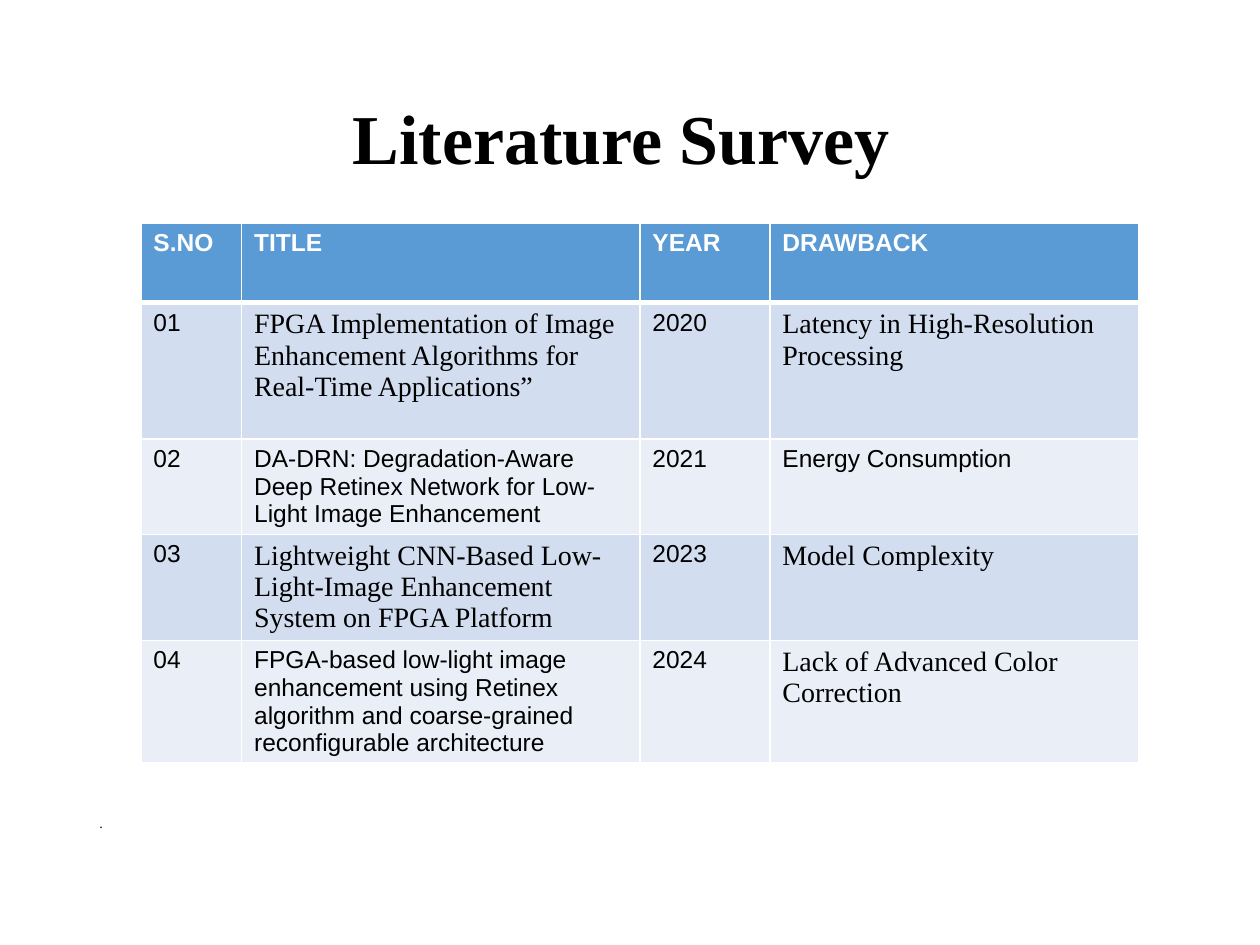
from lxml import etree
from pptx import Presentation
from pptx.dml.color import RGBColor
from pptx.enum.text import MSO_ANCHOR, PP_ALIGN
from pptx.oxml.ns import qn
from pptx.util import Cm, Pt

CENTER, LEFT = PP_ALIGN.CENTER, PP_ALIGN.LEFT
TOP, MIDDLE = MSO_ANCHOR.TOP, MSO_ANCHOR.MIDDLE
SERIF, SANS = "Times New Roman", "Arial"
WHITE, BLACK, BLUE = "FFFFFF", "000000", "5B9BD5"
BANDS = ["D2DEEF", "EAEFF7"]


def color(hex_string):
    return RGBColor.from_string(hex_string)


def add_run(para, text, size, font, hex_string, bold=False):
    span = para.add_run()
    span.text = text
    span.font.size = Pt(size)
    span.font.name = font
    span.font.bold = bold
    span.font.color.rgb = color(hex_string)


deck = Presentation()
deck.slide_width, deck.slide_height = Cm(25.4), Cm(19.05)
page = deck.slides.add_slide(deck.slide_layouts[1])
title, body = page.placeholders

# Title and small body text
for box, bounds, anchor, align, text, size, bold in [
    (title, (1.75, 1.02, 21.9, 3.68), MIDDLE, CENTER, "Literature Survey ", 40, True),
    (body, (1.75, 16.33, 1.78, 0.84), TOP, LEFT, ".", 8, False),
]:
    box.left, box.top, box.width, box.height = map(Cm, bounds)
    box.text_frame.vertical_anchor = anchor
    para = box.text_frame.paragraphs[0]
    para.alignment = align
    para.line_spacing = 0.9
    para.space_before = Pt(0)
    add_run(para, text, size, SERIF, BLACK, bold)

# No bullet in the body
properties = body.text_frame.paragraphs[0]._p.get_or_add_pPr()
properties.set("marL", "0")
properties.set("indent", "0")
etree.SubElement(properties, qn("a:buNone"))

# Survey table: the serif columns of each row are listed after its texts
rows = [
    (["S.NO", "TITLE", "YEAR", "DRAWBACK"], []),
    (["01", "FPGA Implementation of Image Enhancement Algorithms for Real-Time Applications”",
      "2020", "Latency in High-Resolution Processing"], [1, 3]),
    (["02", "DA-DRN: Degradation-Aware Deep Retinex Network for Low-Light Image Enhancement",
      "2021", "Energy Consumption"], []),
    (["03", "Lightweight CNN-Based Low-Light-Image Enhancement System on FPGA Platform",
      "2023", "Model Complexity"], [1, 3]),
    (["04", "FPGA-based low-light image enhancement using Retinex algorithm "
            "and coarse-grained reconfigurable architecture",
      "2024", "Lack of Advanced Color Correction"], [3]),
]
widths = [2.03, 8.03, 2.62, 7.44]
heights = [1.6, 2.75, 1.92, 2.14, 2.46]
table = page.shapes.add_table(
    len(rows), len(widths), Cm(2.84), Cm(4.5), Cm(sum(widths)), Cm(sum(heights))
).table
for column, width in zip(table.columns, widths):
    column.width = Cm(width)
for row, height in zip(table.rows, heights):
    row.height = Cm(height)

for row_index, (texts, serif_columns) in enumerate(rows):
    header = row_index == 0
    for column_index, text in enumerate(texts):
        cell = table.cell(row_index, column_index)

        # White borders, heavier between the header and the first row
        for side in ["L", "R", "T", "B"]:
            heavy = (row_index, side) in [(0, "B"), (1, "T")]
            line = etree.SubElement(cell._tc.get_or_add_tcPr(), qn(f"a:ln{side}"),
                                    w=str(Pt(3 if heavy else 1)))
            line_fill = etree.SubElement(line, qn("a:solidFill"))
            etree.SubElement(line_fill, qn("a:srgbClr"), val=WHITE)

        cell.fill.solid()
        cell.fill.fore_color.rgb = color(BLUE if header else BANDS[(row_index - 1) % 2])
        size, font = (16, SERIF) if column_index in serif_columns else (14, SANS)
        add_run(cell.text_frame.paragraphs[0], text, size, font,
                WHITE if header else BLACK, header)

deck.save("out.pptx")
